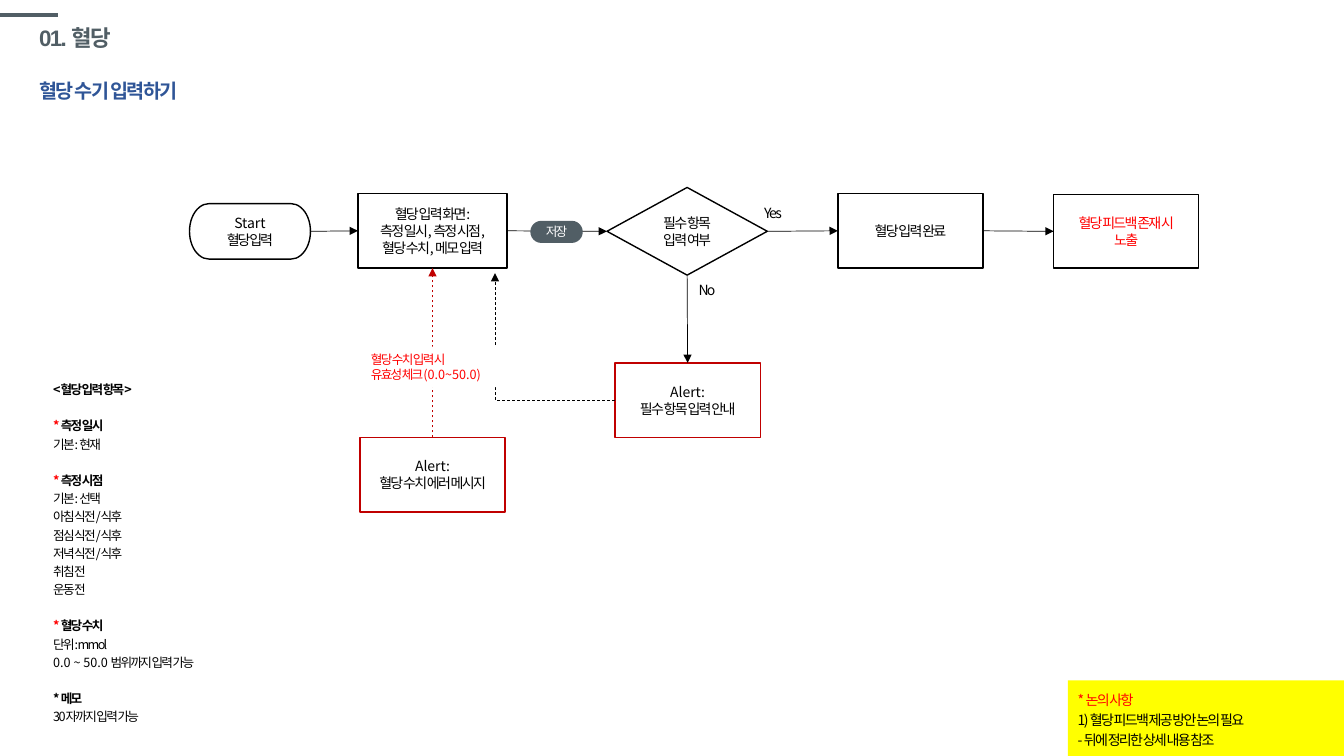
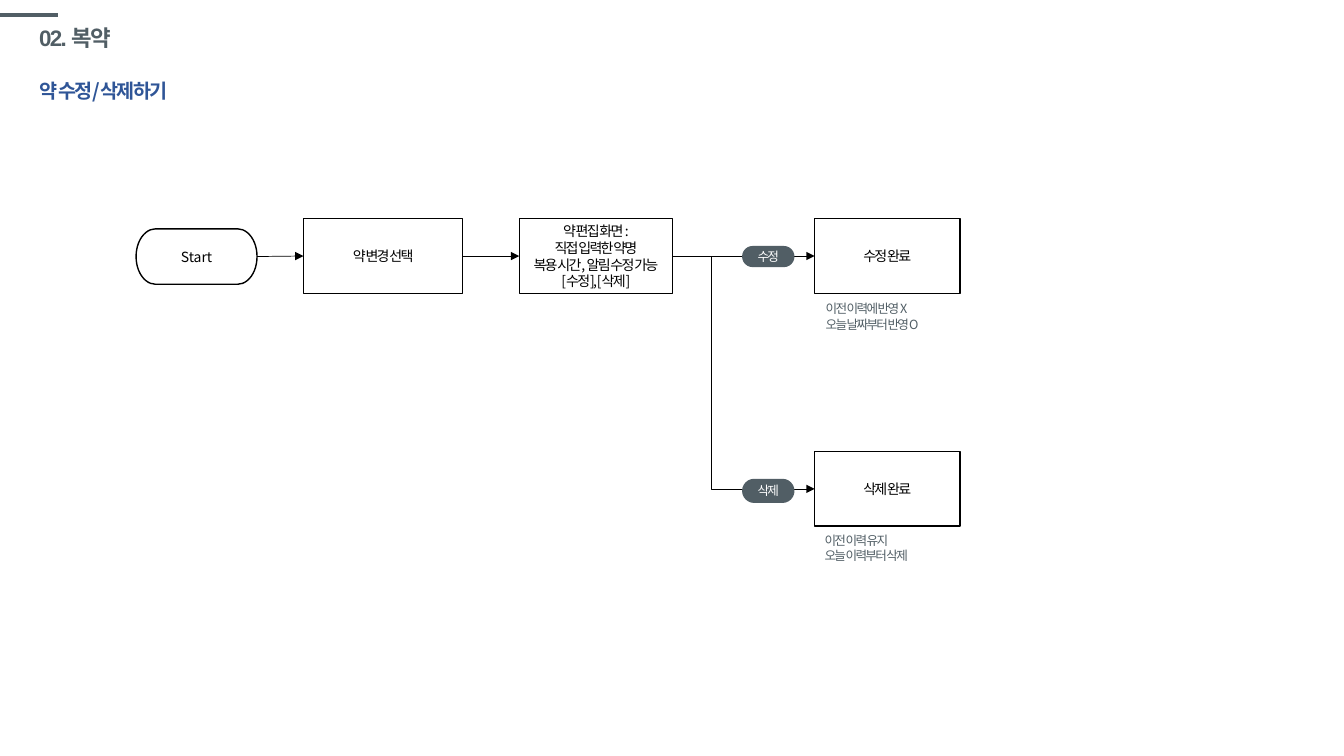
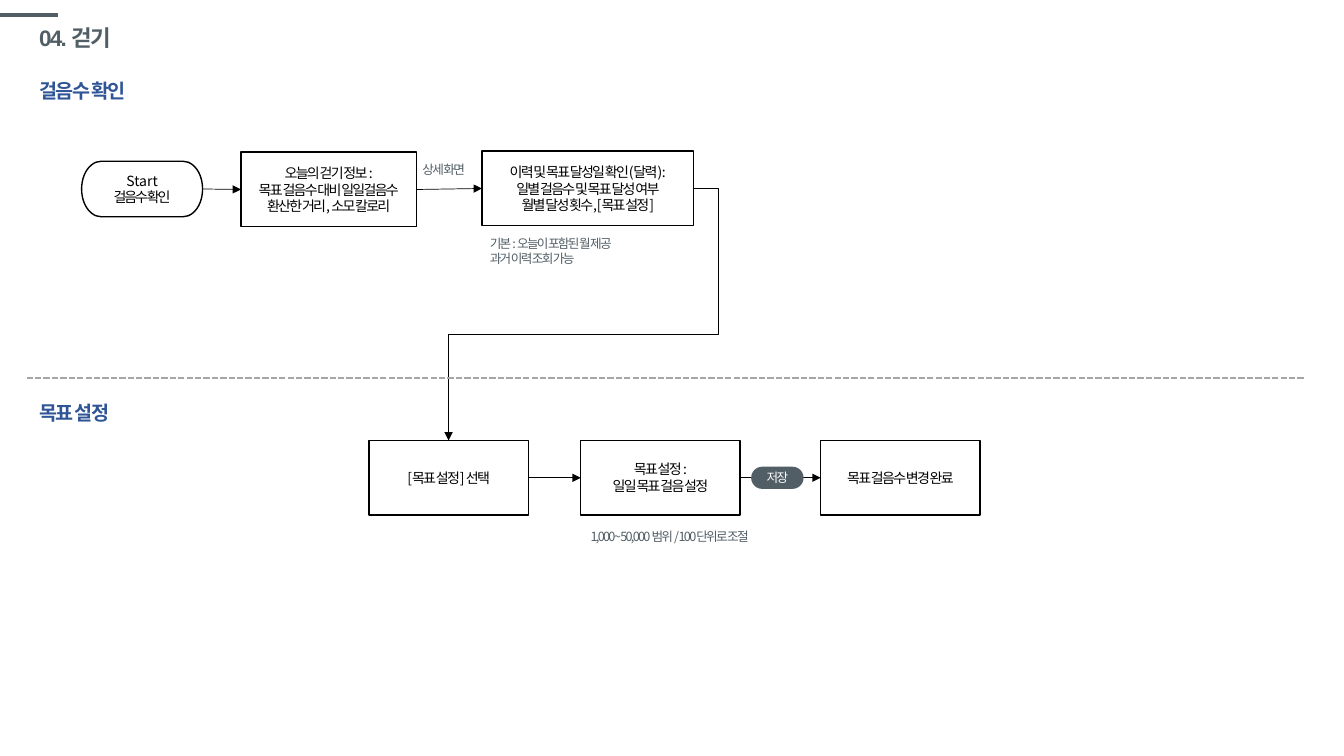
import dataclasses
import typing

import lxml.etree
import pptx
import pptx.dml.color
import pptx.enum.dml
import pptx.enum.shapes
import pptx.enum.text
import pptx.oxml.ns
import pptx.util

SCALE = 9144  # EMU per px, 100 px to the inch
SLATE, BLUE, BLACK, WHITE = "515E65", "2F5597", "000000", "FFFFFF"
RED, DARK_RED, YELLOW, GREY = "FF0000", "C00000", "FFFF00", "A5A5A5"
KOREAN_FONT = "Noto Sans CJK KR"
TOP, LEFT, BOTTOM, RIGHT = range(4)

KINDS = pptx.enum.shapes.MSO_SHAPE
CONNECTORS = pptx.enum.shapes.MSO_CONNECTOR
DASHES = pptx.enum.dml.MSO_LINE
ALIGN = pptx.enum.text.PP_ALIGN
ANCHOR = pptx.enum.text.MSO_ANCHOR
qn = pptx.oxml.ns.qn


def px(*lengths):
    return [round(length * SCALE) for length in lengths]


def rgb(color):
    return pptx.dml.color.RGBColor.from_string(color)


def write_span(para, text, size=10, color=BLACK, bold=False, spacing=-1.2,
               font=KOREAN_FONT):
    span = para.add_run()
    span.text = text
    span.font.size = pptx.util.Pt(size)
    span.font.bold = bold
    span.font.color.rgb = rgb(color)
    span.font.name = font
    props = span.font._element
    props.set("spc", str(round(spacing * 100)))
    lxml.etree.SubElement(props, qn("a:ea")).set("typeface", KOREAN_FONT)


def write(shape, *groups, align=ALIGN.LEFT, anchor=ANCHOR.TOP, wrap=True,
          leading=1.0, gap=0, pad=5, **style):
    """Each group is a list of lines; a line is a text or a list of (text, style)."""
    frame = shape.text_frame
    frame.word_wrap = wrap
    frame.vertical_anchor = anchor
    frame.margin_top, frame.margin_bottom = px(pad, pad)
    para = None
    for group in groups:
        for number, line in enumerate(group):
            first = para is None
            para = frame.paragraphs[0] if first else frame.add_paragraph()
            para.alignment = align
            para.line_spacing = leading
            if number == 0 and not first:
                para.space_before = pptx.util.Pt(gap)
            for text, extra in [(line, {})] if isinstance(line, str) else line:
                write_span(para, text, **{**style, **extra})


def side_point(shape, side):
    x = shape.left + {LEFT: 0, RIGHT: shape.width}.get(side, shape.width // 2)
    y = shape.top + {TOP: 0, BOTTOM: shape.height}.get(side, shape.height // 2)
    return x, y


def style_line(line, color, width, dash=None):
    line.line.color.rgb = rgb(color)
    line.line.width = pptx.util.Pt(width)
    if dash:
        line.line.dash_style = dash
    lxml.etree.SubElement(line._element.spPr, qn("a:effectLst"))


def draw_rule(page, start, end, color, width, dash=None):
    rule = page.shapes.add_connector(CONNECTORS.STRAIGHT, *px(*start, *end))
    style_line(rule, color, width, dash)


def arrow(page, begin, end, color=BLACK, dash=None, bend=None, adjusts=()):
    """Arrow from a (shape, side) pair to another, or to an EMU point."""
    end_joined = not isinstance(end[0], int)
    target = side_point(*end) if end_joined else end
    kind = CONNECTORS.ELBOW if bend else CONNECTORS.STRAIGHT
    line = page.shapes.add_connector(kind, *side_point(*begin), *target)
    line.begin_connect(*begin)
    if end_joined:
        line.end_connect(*end)
    if bend:
        geometry = line._element.spPr.find(qn("a:prstGeom"))
        geometry.set("prst", bend)
        guides = geometry.find(qn("a:avLst"))
        if guides is None:
            guides = lxml.etree.SubElement(geometry, qn("a:avLst"))
        for number, value in enumerate(adjusts, 1):
            guide = lxml.etree.SubElement(guides, qn("a:gd"))
            guide.set("name", f"adj{number}")
            guide.set("fmla", f"val {round(value * 100000)}")
    style_line(line, color, 0.5, dash)
    head = lxml.etree.SubElement(line.line._get_or_add_ln(), qn("a:tailEnd"))
    head.set("type", "triangle")


@dataclasses.dataclass
class Region:
    """Part of a page; all its parts are placed from its top left corner."""
    page: typing.Any
    left: int
    top: int

    def place(self, box):
        left, top, width, height = box
        return px(self.left + left, self.top + top, width, height)

    def shape(self, kind, box, fill=WHITE, outline=None):
        shape = self.page.shapes.add_shape(kind, *self.place(box))
        shape.shadow.inherit = False
        shape.fill.solid()
        shape.fill.fore_color.rgb = rgb(fill)
        if outline:
            shape.line.color.rgb = rgb(outline)
            shape.line.width = pptx.util.Pt(1)
        else:
            shape.line.fill.background()
        return shape

    def node(self, box, *lines, kind=KINDS.FLOWCHART_PROCESS, outline=BLACK, **style):
        node = self.shape(kind, box, outline=outline)
        write(node, lines, align=ALIGN.CENTER, anchor=ANCHOR.MIDDLE, wrap=False, **style)
        return node

    def start(self, top, *lines):
        return self.node((0, top, 120, 55), [("Start", {"spacing": 0})], *lines,
                         kind=KINDS.FLOWCHART_TERMINATOR, spacing=-1.5)

    def alert(self, box, message):
        return self.node(box, [("Alert:", {"spacing": 0})], message, outline=DARK_RED)

    def pill(self, box, text):
        pill = self.shape(KINDS.ROUNDED_RECTANGLE, box, fill=SLATE)
        pill.adjustments[0] = 0.5
        write(pill, [text], align=ALIGN.CENTER, anchor=ANCHOR.MIDDLE, pad=0,
              size=9, color=WHITE)

    def note(self, box, *lines, color=SLATE):
        write(self.shape(KINDS.RECTANGLE, box), lines, size=9, color=color)

    def label(self, box, *groups, **style):
        write(self.page.shapes.add_textbox(*self.place(box)), *groups, **style)


def new_page(deck, title):
    page = deck.slides.add_slide(deck.slide_layouts[6])
    draw_rule(page, (0, 15), (58, 15), SLATE, 3)
    Region(page, 29, 19).label((0, 0, 1150, 39), [title], anchor=ANCHOR.MIDDLE,
                               leading=0.9, size=16, color=SLATE, bold=True, font="Arial")
    return page


def heading(page, top, text):
    Region(page, 29, top).label((0, 0, 288, 45), [text], leading=1.5, size=14,
                                color=BLUE, bold=True)


def glucose_flow(page, left, top):
    area = Region(page, left, top)
    # Steps
    start = area.start(16, "혈당 입력")
    entry = area.node((167, 6, 148, 74), "혈당 입력 화면:", "측정 일시, 측정 시점,",
                      "혈당 수치, 메모 입력")
    check = area.node((414, 0, 159, 87), "필수 항목", "입력 여부",
                      kind=KINDS.FLOWCHART_DECISION)
    done = area.node((643, 6, 144, 74), "혈당 입력 완료")
    feedback = area.node((857, 7, 144, 73), "혈당 피드백 존재 시", "노출", color=RED)
    missing = area.alert((422, 174, 144, 74), "필수 항목 입력 안내")
    invalid = area.alert((169, 248, 144, 74), "혈당 수치 에러 메시지")
    # Arrows
    for before, after in [(start, entry), (entry, check), (check, done), (done, feedback)]:
        arrow(page, (before, RIGHT), (after, LEFT))
    arrow(page, (check, BOTTOM), (missing, TOP))
    arrow(page, (invalid, TOP), (entry, BOTTOM), color=DARK_RED, dash=DASHES.DASH)
    arrow(page, (missing, LEFT), tuple(px(left + 303, top + 85)),
          dash=DASHES.DASH, bend="bentConnector2")
    # Labels on the arrows
    area.label((560, 9, 52, 28), ["Yes"], leading=1.2)
    area.label((495, 85, 52, 30), ["No"], leading=1.2)
    area.note((170, 158, 134, 40), "혈당 수치 입력 시",
              [("유효성 체크(", {}), ("0.0~50.0", {"spacing": 0}), (")", {})], color=RED)
    area.pill((338, 33, 52, 22), "저장")


def glucose_fields(page, left, top):
    strong = {"bold": True}

    def required(name):
        return [("* ", {"bold": True, "color": RED}), (name, strong)]

    Region(page, left, top).label(
        (0, 0, 176, 355),
        [[("<혈당 입력 항목>", strong)]],
        [required("측정 일시"), "기본: 현재"],
        [required("측정 시점"), "기본: 선택", "아침 식전/식후", "점심 식전/식후",
         "저녁 식전/식후", "취침 전", "운동 전"],
        [required("혈당 수치"), "단위: mmol",
         [("0.0 ~ 50.0 ", {"spacing": 0}), ("범위까지 입력 가능", {})]],
        [[("* 메모", strong)], "30자까지 입력 가능"],
        size=9, leading=1.2, gap=13)


def discussion(page, left, top):
    box = Region(page, left, top).shape(KINDS.RECTANGLE, (0, 0, 275, 75), fill=YELLOW)
    write(box, [[("* 논의 사항", {"color": RED})], "1) 혈당 피드백 제공 방안 논의 필요",
                "- 뒤에 정리한 상세 내용 참조"], anchor=ANCHOR.MIDDLE, leading=1.2)


def medicine_flow(page, left, top):
    area = Region(page, left, top)
    # Steps
    start = area.start(10)
    choose = area.node((166, 0, 158, 74), "약 변경 선택")
    edit = area.node((380, 0, 152, 74), "약 편집 화면 :", "직접 입력한 약명",
                     "복용 시간, 알림 수정 가능", "[수정], [삭제]")
    edited = area.node((673, 0, 144, 74), "수정 완료")
    deleted = area.node((673, 231, 144, 74), "삭제 완료")
    # Arrows
    for before, after in [(start, choose), (choose, edit), (edit, edited)]:
        arrow(page, (before, RIGHT), (after, LEFT))
    arrow(page, (edit, RIGHT), (deleted, LEFT), bend="bentConnector3", adjusts=[0.27])
    # Buttons and notes
    area.pill((601, 27, 52, 21), "수정")
    area.pill((601, 258, 52, 24), "삭제")
    area.note((674, 77, 155, 40), "이전 이력에 반영 X", "오늘 날짜부터 반영O")
    area.note((673, 307, 133, 40), "이전 이력 유지", "오늘 이력부터 삭제")


def steps_flow(page, left, top):
    area = Region(page, left, top)
    start = area.start(10, "걸음수 확인")
    today = area.node((158, 1, 174, 74), "오늘의 걷기 정보 :", "목표 걸음수 대비 일일걸음수",
                      "환산한 거리, 소모 칼로리")
    history = area.node((397, 0, 210, 74), "이력 및 목표 달성일 확인(달력) :",
                        "일별 걸음수 및 목표 달성 여부", "월별 달성 횟수, [목표 설정]")
    arrow(page, (start, RIGHT), (today, LEFT))
    arrow(page, (today, RIGHT), (history, LEFT))
    area.label((328, 6, 68, 25), ["상세 화면"], size=9, color=SLATE)
    area.label((395, 79, 186, 40), ["기본 : 오늘이 포함된 월 제공", "과거 이력 조회 가능"],
               size=9, color=SLATE)
    return history


def goal_flow(page, left, top):
    area = Region(page, left, top)
    select = area.node((0, 0, 158, 74), "[목표 설정] 선택")
    goal = area.node((210, 0, 158, 74), "목표 설정 :", "일일 목표 걸음 설정")
    done = area.node((448, 0, 158, 74), "목표 걸음수 변경 완료")
    arrow(page, (select, RIGHT), (goal, LEFT))
    arrow(page, (goal, RIGHT), (done, LEFT))
    area.pill((379, 26, 52, 22), "저장")
    area.label((210, 83, 186, 25), ["1,000~ 50,000 범위 / 100단위로 조절"],
               size=9, color=SLATE)
    return select


def main():
    deck = pptx.Presentation()
    deck.slide_width, deck.slide_height = px(1333, 750)

    # Blood glucose
    page = new_page(deck, "01. 혈당")
    heading(page, 62, "혈당 수기 입력하기")
    glucose_flow(page, 188, 186)
    glucose_fields(page, 43, 371)
    discussion(page, 1059, 675)

    # Medicine
    page = new_page(deck, "02. 복약")
    heading(page, 62, "약 수정/삭제하기")
    medicine_flow(page, 135, 217)

    # Walking
    page = new_page(deck, "04. 걷기")
    heading(page, 62, "걸음수 확인")
    heading(page, 381, "목표 설정")
    history = steps_flow(page, 81, 150)
    select = goal_flow(page, 366, 437)
    arrow(page, (history, RIGHT), (select, TOP), bend="bentConnector4",
          adjusts=[-0.1, 0.58])
    draw_rule(page, (1293, 375), (25, 375), GREY, 1.5, DASHES.SQUARE_DOT)

    deck.save("out.pptx")


if __name__ == "__main__":
    main()
